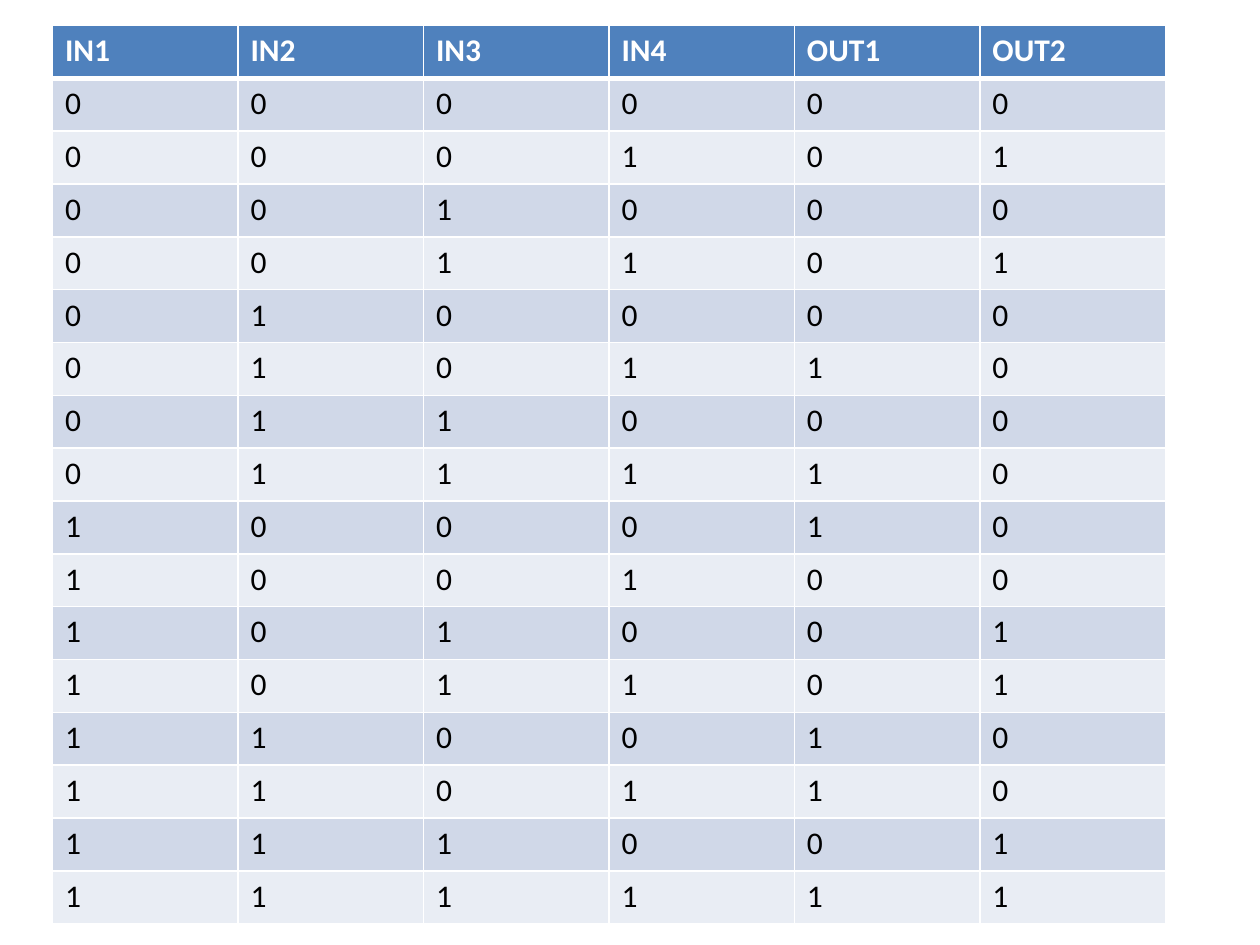
from itertools import product

from lxml.etree import SubElement
from pptx import Presentation
from pptx.dml.color import RGBColor
from pptx.oxml.ns import qn
from pptx.util import Pt

HEADINGS = ["IN1", "IN2", "IN3", "IN4", "OUT1", "OUT2"]
OUTPUTS = ["00", "01", "00", "01", "00", "10", "00", "10",
           "10", "00", "01", "01", "10", "10", "01", "11"]
HEADER_FILL = "4F81BD"
BAND_FILLS = ["D0D8E8", "E9EDF4"]
WHITE = "FFFFFF"
BLACK = "000000"


def color(value):
    return RGBColor.from_string(value)


def write_text(frame, text, size=18, font="Calibri", fill=BLACK, bold=False):
    paragraph = frame.paragraphs[0]
    run = paragraph.add_run()
    run.text = text
    run.font.size = Pt(size)
    run.font.name = font
    run.font.bold = bold
    run.font.color.rgb = color(fill)


def set_borders(cell, top=1, bottom=1):
    properties = cell._tc.get_or_add_tcPr()
    for side, width in (("L", 1), ("R", 1), ("T", top), ("B", bottom)):
        line = SubElement(properties, qn(f"a:ln{side}"), w=str(Pt(width)))
        fill = SubElement(line, qn("a:solidFill"))
        SubElement(fill, qn("a:srgbClr"), val=WHITE)


def format_cell(cell, text, row):
    is_header = row == 0
    set_borders(cell, top=3 if row == 1 else 1, bottom=3 if is_header else 1)
    cell.fill.solid()
    cell.fill.fore_color.rgb = color(
        HEADER_FILL if is_header else BAND_FILLS[(row - 1) % 2])
    write_text(cell.text_frame, text, bold=is_header,
               fill=WHITE if is_header else BLACK)


def add_truth_table(slide, left, top, width, height):
    inputs = product("01", repeat=4)
    rows = [HEADINGS] + [[*bits, *result]
                         for bits, result in zip(inputs, OUTPUTS)]
    table = slide.shapes.add_table(len(rows), len(HEADINGS), Pt(left), Pt(top),
                                   Pt(width), Pt(height)).table
    for column in table.columns:
        column.width = Pt(width / len(HEADINGS))
    for row, values in enumerate(rows):
        table.rows[row].height = Pt(height / len(rows))
        for column, text in enumerate(values):
            format_cell(table.cell(row, column), text, row)


def main():
    presentation = Presentation()
    presentation.slide_width = Pt(720)
    presentation.slide_height = Pt(540)
    slide = presentation.slides.add_slide(presentation.slide_layouts[6])
    add_truth_table(slide, left=30, top=14.6, width=636, height=513.4)
    presentation.save("out.pptx")


if __name__ == "__main__":
    main()
